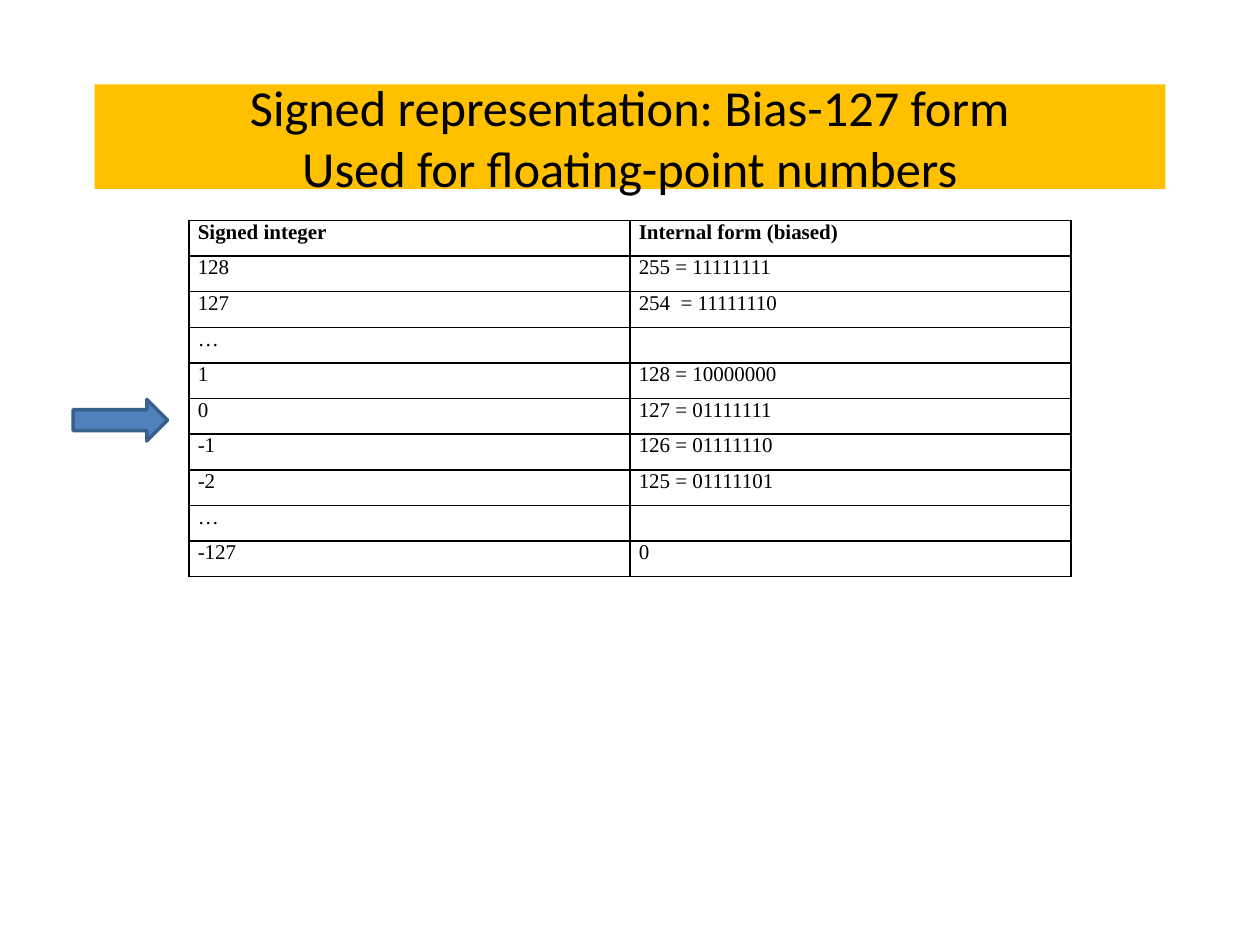
from pptx import Presentation
from pptx.dml.color import RGBColor
from pptx.enum.shapes import MSO_SHAPE
from pptx.enum.text import MSO_ANCHOR, MSO_AUTO_SIZE, PP_ALIGN
from pptx.oxml import parse_xml
from pptx.oxml.ns import nsdecls
from pptx.util import Inches, Pt

BLACK = RGBColor(0x00, 0x00, 0x00)
GOLD = RGBColor(0xFF, 0xC0, 0x00)
BLUE = RGBColor(0x4F, 0x81, 0xBD)
DARK_BLUE = RGBColor(0x3A, 0x5F, 0x8C)
RIGHT_ARROW = MSO_SHAPE.RIGHT_ARROW
MIDDLE = MSO_ANCHOR.MIDDLE
CENTER = PP_ALIGN.CENTER
NO_AUTOFIT = MSO_AUTO_SIZE.NONE

ROWS = [
    ("Signed integer", "Internal form (biased)"),
    ("128", "255 = 11111111"),
    ("127", "254  = 11111110"),
    ("…", ""),
    ("1", "128 = 10000000"),
    ("0", "127 = 01111111"),
    ("-1", "126 = 01111110"),
    ("-2", "125 = 01111101"),
    ("…", ""),
    ("-127", "0"),
]


def add_borders(cell):
    properties = cell._tc.get_or_add_tcPr()
    for position, side in enumerate(("lnL", "lnR", "lnT", "lnB")):
        properties.insert(position, parse_xml(
            f'<a:{side} {nsdecls("a")} w="{Pt(1)}"><a:solidFill>'
            f'<a:srgbClr val="{BLACK}"/></a:solidFill></a:{side}>'))


deck = Presentation()
deck.slide_width, deck.slide_height = Inches(10), Inches(7.5)
page = deck.slides.add_slide(deck.slide_layouts[5])

# Title band
title = page.shapes.title
title.left, title.top = Inches(0.75), Inches(0.67)
title.width, title.height = Inches(8.5), Inches(0.83)
title.fill.solid()
title.fill.fore_color.rgb = GOLD
frame = title.text_frame
frame.text = "Signed representation: Bias-127 form\vUsed for floating-point numbers"
frame.word_wrap = True
frame.auto_size = NO_AUTOFIT
frame.vertical_anchor = MIDDLE
para = frame.paragraphs[0]
para.alignment = CENTER
para.font.name = "Calibri"
para.font.size = Pt(28.8)
para.font.color.rgb = BLACK

# Table of signed values and their biased forms
table = page.shapes.add_table(len(ROWS), 2, Inches(1.5), Inches(1.75),
                              Inches(7), Inches(2.83)).table
table.first_row = False
table.horz_banding = False
for row_index, row in enumerate(ROWS):
    for column_index, text in enumerate(row):
        cell = table.cell(row_index, column_index)
        cell.text = text
        cell.fill.background()
        cell.margin_left = cell.margin_right = Inches(0.07)
        cell.margin_top = cell.margin_bottom = 0
        add_borders(cell)
        para = cell.text_frame.paragraphs[0]
        para.font.name = "Times New Roman"
        para.font.size = Pt(12)
        para.font.bold = row_index == 0
        para.font.color.rgb = BLACK

# Arrow marking the zero row
arrow = page.shapes.add_shape(RIGHT_ARROW, Inches(0.58), Inches(3.17),
                              Inches(0.75), Inches(0.33))
arrow.shadow.inherit = False
arrow.fill.solid()
arrow.fill.fore_color.rgb = BLUE
arrow.line.color.rgb = DARK_BLUE
arrow.line.width = Pt(2)

deck.save("out.pptx")
